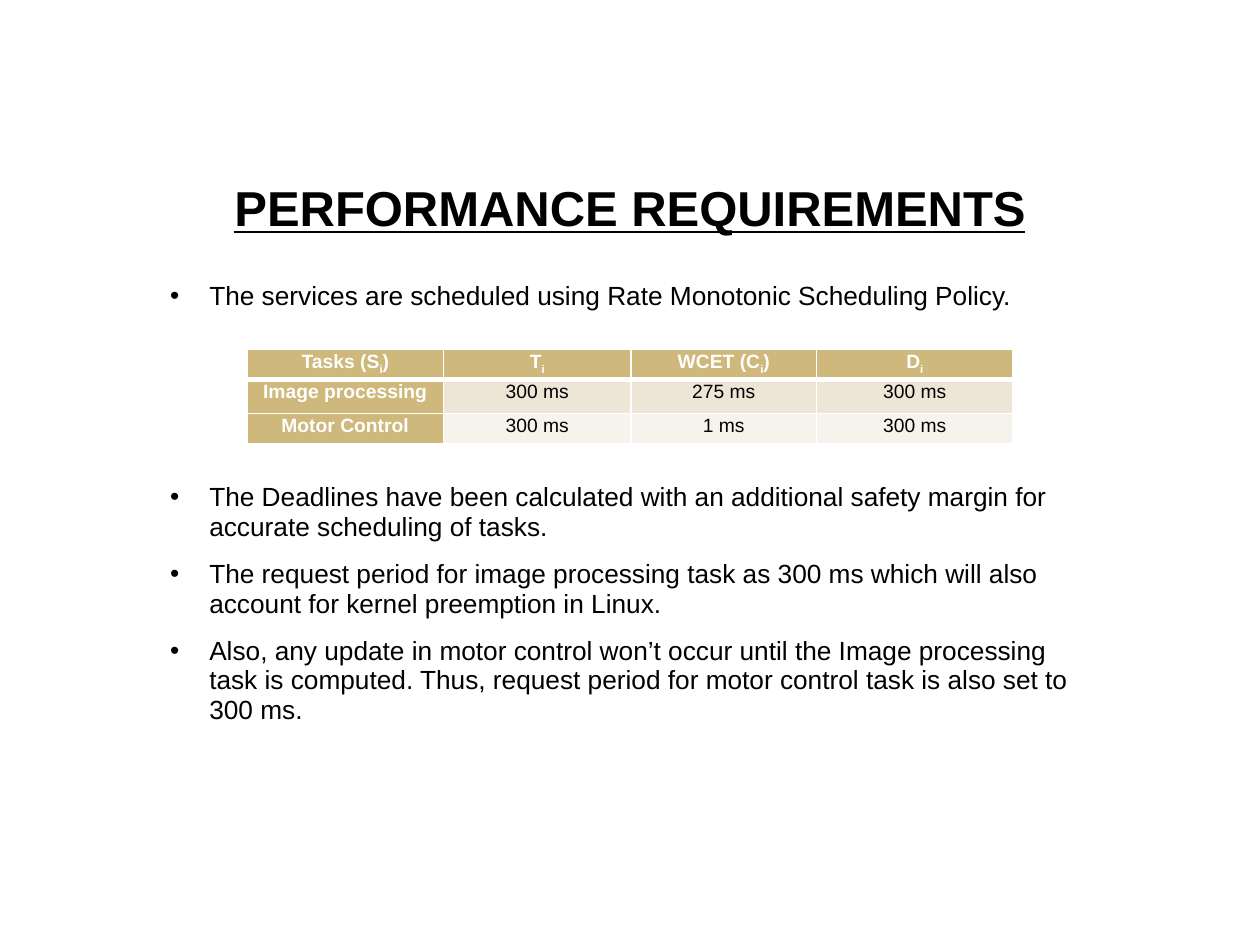
import pptx
import pptx.util
import pptx.dml.color
import pptx.enum.text
import pptx.oxml
import pptx.oxml.ns

Cm, Pt = pptx.util.Cm, pptx.util.Pt
MID = pptx.enum.text.PP_ALIGN.CENTER
HUES = {"ink": "000000", "edge": "FFFFFF", "gold": "CFB87C",
        "sand": "EDE6D7", "pale": "F6F3EC"}


def tint(name):
    return pptx.dml.color.RGBColor.from_string(HUES[name])


def put(item, vals):
    for key, val in vals.items():
        setattr(item, key, val)


def node(tag, body="", **attrs):
    space = pptx.oxml.ns.nsdecls("a")
    pairs = " ".join(f'{key}="{val}"' for key, val in attrs.items())
    return pptx.oxml.parse_xml(f"<a:{tag} {space} {pairs}>{body}</a:{tag}>")


class Deck:
    font = "Arial"

    def __init__(self):
        self.show = pptx.Presentation()
        put(self.show, {"slide_width": Cm(25.4), "slide_height": Cm(19.05)})
        self.slide = self.show.slides.add_slide(self.show.slide_layouts[6])

    def words(self, para, text, hue, form, size, sub=False):
        run = para.add_run()
        run.text = text
        put(run.font, {"name": self.font, "size": Pt(size), **form})
        run.font.color.rgb = tint(hue)
        if sub:
            run.font._element.set("baseline", "-25000")

    def box(self, place, anchor):
        frame = self.slide.shapes.add_textbox(*map(Cm, place)).text_frame
        put(frame, {"word_wrap": True, "vertical_anchor": anchor})
        return frame

    def title(self, text, place):
        frame = self.box(place, pptx.enum.text.MSO_ANCHOR.MIDDLE)
        para = frame.paragraphs[0]
        put(para, {"alignment": MID, "line_spacing": 0.9})
        self.words(para, text, "ink", {"bold": True, "underline": True}, 28)

    def points(self, items, place):
        frame = self.box(place, pptx.enum.text.MSO_ANCHOR.TOP)
        for num, (text, gap) in enumerate(items):
            para = frame.add_paragraph() if num else frame.paragraphs[0]
            put(para, {"line_spacing": 0.94, "space_before": Pt(gap)})
            props = para._p.get_or_add_pPr()
            props.set("marL", str(Cm(0.79)))
            props.set("indent", str(Cm(-0.79)))
            props.append(node("buFont", typeface=self.font))
            props.append(node("buChar", char="•"))
            self.words(para, text, "ink", {}, 15)

    def edge(self, cell, row):
        # The rule under the header is thicker than the others
        wide = {"lnT": 3 if row == 1 else 1, "lnB": 1 if row else 3}
        fill = f'<a:solidFill><a:srgbClr val="{HUES["edge"]}"/></a:solidFill>'
        props = cell._tc.get_or_add_tcPr()
        for spot, side in enumerate(("lnL", "lnR", "lnT", "lnB")):
            props.insert(spot, node(side, fill, w=Pt(wide.get(side, 1))))

    def cell(self, cell, parts, row, col):
        head = row == 0 or col == 0
        put(cell, {"margin_left": Cm(0.18), "margin_right": Cm(0.18),
                   "margin_top": 0, "margin_bottom": 0})
        cell.fill.solid()
        cell.fill.fore_color.rgb = tint(
            "gold" if head else ("sand" if row == 1 else "pale"))
        self.edge(cell, row)
        para = cell.text_frame.paragraphs[0]
        put(para, {"alignment": MID, "line_spacing": 1.07})
        # Every second part is a subscript
        for num, part in enumerate(parts):
            self.words(para, part, "edge" if head else "ink",
                       {"bold": head}, 11, num % 2 == 1)

    def table(self, rows, place, wides, highs):
        grid = self.slide.shapes.add_table(
            len(rows), len(wides), *map(Cm, place)).table
        for col, wide in zip(grid.columns, wides):
            col.width = Cm(wide)
        for line, high in zip(grid.rows, highs):
            line.height = Cm(high)
        for row, cells in enumerate(rows):
            for col, parts in enumerate(cells):
                self.cell(grid.cell(row, col), parts, row, col)


def main():
    deck = Deck()

    # Points, with room left for the table after the first
    deck.points([
        ("The services are scheduled using Rate Monotonic Scheduling Policy.",
         10),
        ("The Deadlines have been calculated with an additional safety margin "
         "for accurate scheduling of tasks.", 98),
        ("The request period for image processing task as 300 ms which will "
         "also account for kernel preemption in Linux.", 10),
        ("Also, any update in motor control won’t occur until the Image "
         "processing task is computed. Thus, request period for motor control "
         "task is also set to 300 ms.", 10),
    ], (3.18, 5.56, 19.05, 10.44))

    # Heading
    deck.title("PERFORMANCE REQUIREMENTS", (1.75, 2.41, 21.9, 3.68))

    # Task timing
    deck.table([
        [("Tasks (S", "i", ")"), ("T", "i"), ("WCET (C", "i", ")"),
         ("D", "i")],
        [("Image processing",), ("300 ms",), ("275 ms",), ("300 ms",)],
        [("Motor Control",), ("300 ms",), ("1 ms",), ("300 ms",)],
    ], (4.98, 7.04, 15.44, 1.93), (3.96, 3.78, 3.74, 3.96),
        (0.61, 0.69, 0.61))

    deck.show.save("out.pptx")


if __name__ == "__main__":
    main()
